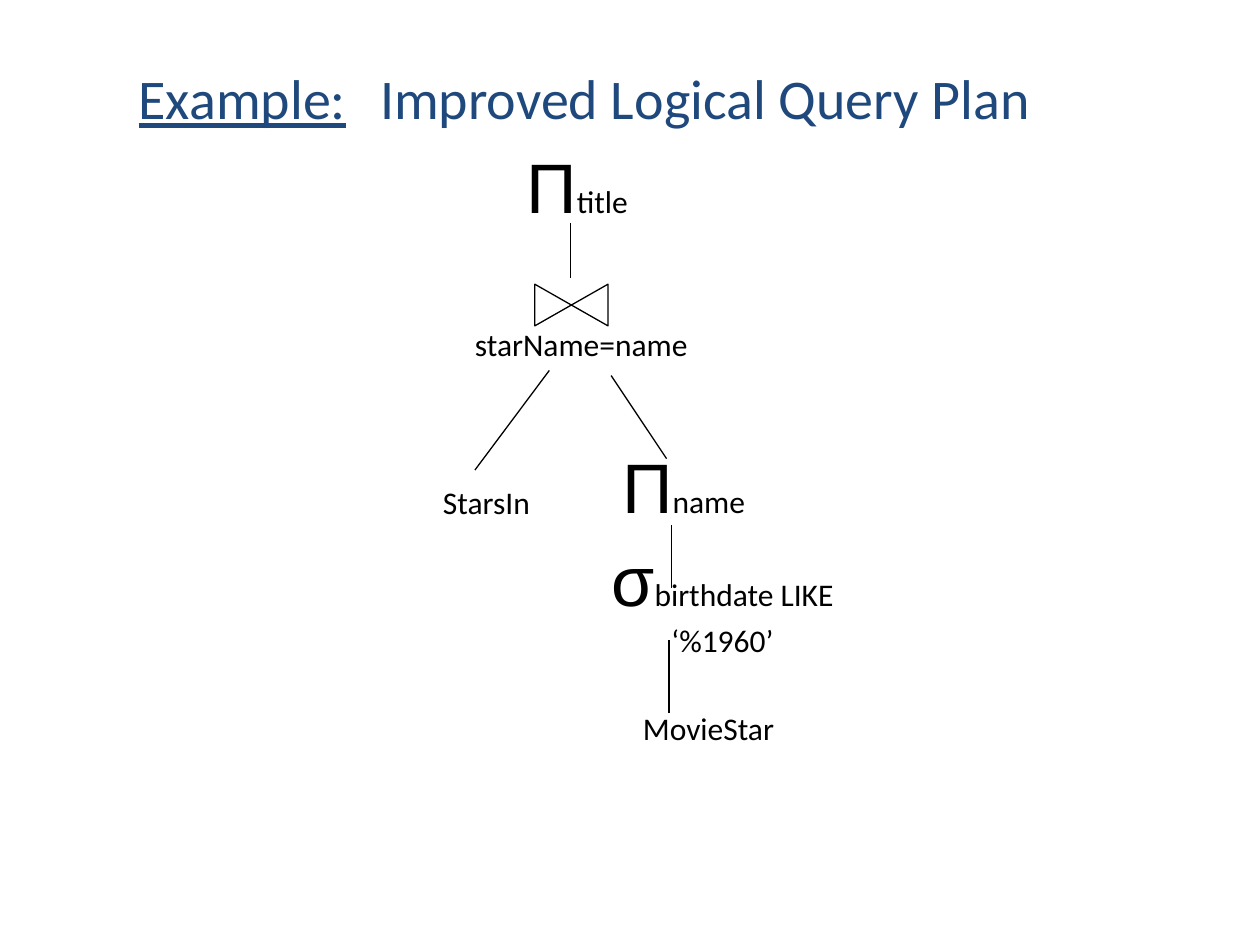
from dataclasses import dataclass

from lxml import etree
from pptx import Presentation
from pptx.dml.color import RGBColor
from pptx.enum import shapes, text
from pptx.oxml import ns
from pptx.util import Pt

BLACK = "000000"
WHITE = "FFFFFF"
NAVY = "1F497D"
LABEL_HEIGHT = 28.8
OPERATOR_HEIGHT = 55.4


@dataclass(frozen=True)
class PlanNode:
    label: str
    center: float
    top: float
    width: float
    operator: str = ""
    wraps: bool = False


@dataclass(frozen=True)
class Edge:
    start: tuple[float, float]
    end: tuple[float, float]


NODES = [
    PlanNode("title", 329.8, 78.5, 74.9, "Π"),
    PlanNode("starName=name", 332.2, 182.2, 136),
    PlanNode("StarsIn", 278, 272.4, 66),
    PlanNode("name", 390.6, 249.8, 90, "Π"),
    PlanNode("birthdate LIKE ‘%1960’", 412.9, 313.9, 194, "σ", True),
    PlanNode("MovieStar", 404.9, 401.8, 93.6),
]

EDGES = [
    Edge((326.2, 127.4), (326.2, 159.1)),
    Edge((383.8, 300.2), (383.8, 336.2)),
    Edge((382.3, 365.8), (382.3, 407.5)),
    Edge((313.9, 211.7), (271.4, 268.6)),
    Edge((349.2, 214.6), (380.9, 262.1)),
]


def color(value: str) -> RGBColor:
    return RGBColor.from_string(value)


def add_run(paragraph, content: str, font_name: str, size: float):
    run = paragraph.add_run()
    run.text = content
    run.font.name = font_name
    run.font.size = Pt(size)
    return run


def add_title(slide) -> None:
    title = slide.shapes.title
    title.left, title.top, title.width, title.height = Pt(72), Pt(20.9), Pt(620.6), Pt(69.8)
    title.text_frame.vertical_anchor = text.MSO_ANCHOR.MIDDLE
    title.text_frame.word_wrap = True
    paragraph = title.text_frame.paragraphs[0]
    paragraph.alignment = text.PP_ALIGN.LEFT
    paragraph.font.name = "Calibri"
    paragraph.font.size = Pt(32)
    paragraph.font.color.rgb = color(NAVY)
    properties = paragraph._p.get_or_add_pPr()
    tabs = etree.Element(ns.qn("a:tabLst"))
    etree.SubElement(tabs, ns.qn("a:tab"), pos=str(Pt(138)), algn="l")
    properties.insert(0, tabs)
    prefix = paragraph.add_run()
    prefix.text = "Example:"
    prefix.font.underline = True
    paragraph.add_run().text = "\tImproved Logical Query Plan"


def add_node(slide, node: PlanNode) -> None:
    height = OPERATOR_HEIGHT if node.operator else LABEL_HEIGHT
    box = slide.shapes.add_textbox(
        Pt(node.center - node.width / 2), Pt(node.top), Pt(node.width), Pt(height)
    )
    frame = box.text_frame
    frame.word_wrap = node.wraps
    frame.vertical_anchor = text.MSO_ANCHOR.MIDDLE
    paragraph = frame.paragraphs[0]
    paragraph.alignment = text.PP_ALIGN.CENTER
    paragraph.font.color.rgb = color(BLACK)
    if node.operator:
        add_run(paragraph, node.operator, "Arial", 40)
    add_run(paragraph, node.label, "Calibri", 18)


def add_edge(slide, edge: Edge) -> None:
    connector = slide.shapes.add_connector(
        shapes.MSO_CONNECTOR.STRAIGHT, *map(Pt, edge.start + edge.end)
    )
    connector.line.color.rgb = color(BLACK)
    connector.line.width = Pt(0.75)
    etree.SubElement(connector._element.spPr, ns.qn("a:effectLst"))


def add_join_symbol(slide) -> None:
    symbol = slide.shapes.add_shape(
        shapes.MSO_SHAPE.FLOWCHART_COLLATE, Pt(314.6), Pt(153.4), Pt(23.8), Pt(41.8)
    )
    symbol.rotation = 270
    symbol.shadow.inherit = False
    symbol.fill.solid()
    symbol.fill.fore_color.rgb = color(WHITE)
    symbol.line.color.rgb = color(BLACK)
    symbol.line.width = Pt(0.75)


def main() -> None:
    presentation = Presentation()
    presentation.slide_width = Pt(720)
    presentation.slide_height = Pt(540)
    slide = presentation.slides.add_slide(presentation.slide_layouts[5])
    add_title(slide)
    for node in NODES:
        add_node(slide, node)
    for edge in EDGES:
        add_edge(slide, edge)
    add_join_symbol(slide)
    presentation.save("out.pptx")


if __name__ == "__main__":
    main()
